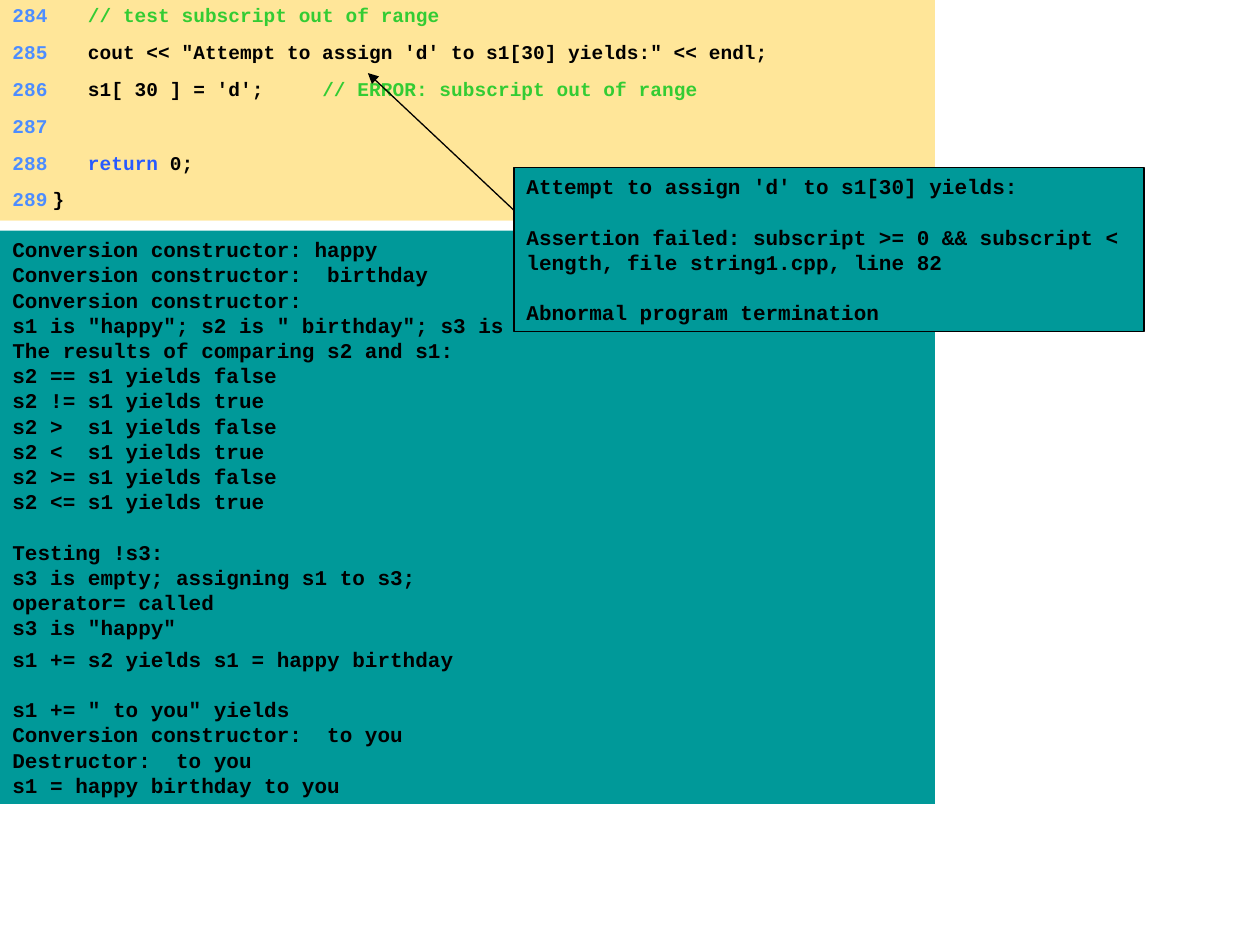
from lxml import etree
from pptx import Presentation
from pptx.dml.color import RGBColor
from pptx.enum import shapes, text
from pptx.oxml import ns
from pptx.util import Inches, Pt

COLORS = {"code": "FFE699", "output": "009999", "number": "4D8DFF",
          "comment": "33CC33", "keyword": "275AFF", "plain": "000000"}
FONT = "Courier New"
CODE = [
    (284, [("   // test subscript out of range", "comment")]),
    (285, [("   cout << \"Attempt to assign 'd' to s1[30] yields:\" << endl;", "plain")]),
    (286, [("   s1[ 30 ] = 'd';     ", "plain"),
           ("// ERROR: subscript out of range", "comment")]),
    (287, []),
    (288, [("   ", "plain"), ("return", "keyword"), (" 0;", "plain")]),
    (289, [("}", "plain")]),
]
RESULTS = [
    ["Conversion constructor: happy",
     "Conversion constructor:  birthday",
     "Conversion constructor:",
     's1 is "happy"; s2 is " birthday"; s3 is ""',
     "The results of comparing s2 and s1:",
     "s2 == s1 yields false",
     "s2 != s1 yields true",
     "s2 >  s1 yields false",
     "s2 <  s1 yields true",
     "s2 >= s1 yields false",
     "s2 <= s1 yields true"],
    ["Testing !s3:",
     "s3 is empty; assigning s1 to s3;",
     "operator= called",
     's3 is "happy"'],
]
APPENDS = [
    ["s1 += s2 yields s1 = happy birthday"],
    ['s1 += " to you" yields',
     "Conversion constructor:  to you",
     "Destructor:  to you",
     "s1 = happy birthday to you"],
]
FAILURE = [
    ["Attempt to assign 'd' to s1[30] yields:"],
    ["Assertion failed: subscript >= 0 && subscript < length, file string1.cpp, line 82"],
    ["Abnormal program termination"],
]
PANEL_W, ROW_H, ROW_STEP = 7.42, 0.29, 0.292
CODE_TABS = [(0.15, "r"), (0.32, "l")]

prs = Presentation()
prs.slide_width, prs.slide_height = Inches(10), Inches(7.5)
s = prs.slides.add_slide(prs.slide_layouts[6])


def add_box(x, y, w, h, fill, line=None):
    sp = s.shapes.add_shape(shapes.MSO_SHAPE.RECTANGLE,
                            Inches(x), Inches(y), Inches(w), Inches(h))
    sp.shadow.inherit = False
    sp.fill.solid()
    sp.fill.fore_color.rgb = RGBColor.from_string(COLORS[fill])
    if line:
        sp.line.color.rgb = RGBColor.from_string(COLORS[line])
        sp.line.width = Pt(0.75)
    else:
        sp.line.fill.background()
    tf = sp.text_frame
    tf.word_wrap = True
    tf.vertical_anchor = text.MSO_ANCHOR.TOP
    return sp


def add_run(p, words, color, size):
    r = p.add_run()
    r.text = words
    r.font.name, r.font.size, r.font.bold = FONT, Pt(size), True
    r.font.color.rgb = RGBColor.from_string(COLORS[color])


def add_code_row(y, number, parts):
    add_box(0, y - 0.01, PANEL_W, ROW_H + 0.01, "code")
    p = add_box(0, y, PANEL_W, ROW_H, "code").text_frame.paragraphs[0]
    p.alignment = text.PP_ALIGN.LEFT
    p.line_spacing = 0.9
    tabs = etree.SubElement(p._p.get_or_add_pPr(), ns.qn("a:tabLst"))
    for pos, side in CODE_TABS:
        etree.SubElement(tabs, ns.qn("a:tab"), pos=str(Inches(pos)), algn=side)
    add_run(p, f"\t{number}\t", "number", 11.1)
    for words, color in parts:
        add_run(p, words, color, 11.1)


def add_output(x, y, w, h, groups, line=None):
    tf = add_box(x, y, w, h, "output", line).text_frame
    for g, group in enumerate(groups):
        for i, words in enumerate(group):
            first = g == 0 and i == 0
            p = tf.paragraphs[0] if first else tf.add_paragraph()
            p.alignment = text.PP_ALIGN.LEFT
            if g and i == 0:
                p.space_before = Pt(14.4)
            add_run(p, words, "plain", 12)


for i, (number, parts) in enumerate(CODE):
    add_code_row(i * ROW_STEP, number, parts)
add_output(0, 1.83, PANEL_W, 3.3, RESULTS)
add_output(0, 5.08, PANEL_W, 1.3, APPENDS)
add_output(4.08, 1.33, 5, 1.3, FAILURE, "plain")

arrow = s.shapes.add_connector(shapes.MSO_CONNECTOR.STRAIGHT,
                               Inches(4.08), Inches(1.67), Inches(2.92), Inches(0.58))
arrow.line.color.rgb = RGBColor.from_string(COLORS["plain"])
arrow.line.width = Pt(0.75)
etree.SubElement(arrow.line._get_or_add_ln(), ns.qn("a:tailEnd"), type="triangle")
etree.SubElement(arrow._element.spPr, ns.qn("a:effectLst"))

prs.save("out.pptx")
